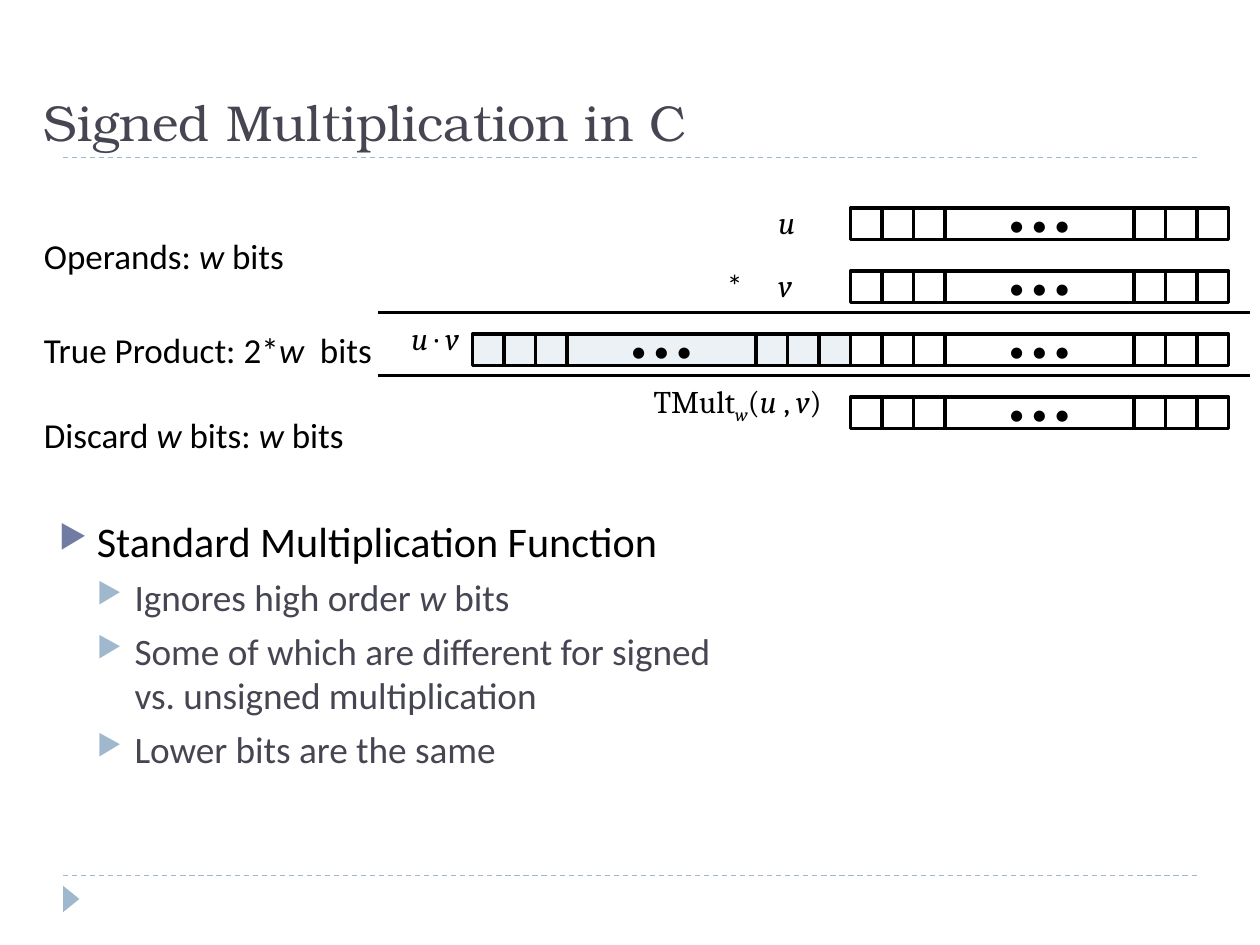
from lxml import etree
from pptx import Presentation, util as u
from pptx.dml.color import RGBColor
from pptx.enum import dml, shapes, text
from pptx.oxml import ns

WIDTH, HEIGHT = 10, 7.5
BIT = 0.25
ROW_TOP, ROW_STEP = 1.65, 0.5
HIGH_LEFT, LOW_LEFT = 3.75, 6.75
BLACK, WHITE, SLATE = "000000", "FFFFFF", "464653"
PALE, SKY, VIOLET = "ECF1F5", "9FB8CD", "727CA3"
SANS, SERIF, HEADING = "Calibri", "Cambria", "TeX Gyre Bonum"


def color(hex_code):
    return RGBColor.from_string(hex_code)


def box(left, top, width, height):
    return [u.Inches(length) for length in (left, top, width, height)]


def row_top(row):
    return ROW_TOP + row * ROW_STEP


def write(paragraph, marked, size, font, ink=BLACK):
    """Fill a paragraph: _x_ is italic and _~x_ is an italic subscript."""
    for index, piece in enumerate(marked.split("_")):
        if not piece:
            continue
        run = paragraph.add_run()
        run.text = piece.lstrip("~")
        run.font.size = u.Pt(size)
        run.font.name = font
        run.font.italic = index % 2 == 1
        run.font.color.rgb = color(ink)
        if piece.startswith("~"):
            run._r.get_or_add_rPr().set("baseline", "-25000")


def add_label(slide, place, marked, size, font=SANS, ink=BLACK,
              align=text.PP_ALIGN.LEFT, anchor=text.MSO_ANCHOR.TOP):
    frame = slide.shapes.add_textbox(*box(*place)).text_frame
    frame.word_wrap = False
    frame.vertical_anchor = anchor
    frame.paragraphs[0].alignment = align
    write(frame.paragraphs[0], marked, size, font, ink)


def add_rule(slide, left, right, y, ink, weight, dashed=False):
    rule = slide.shapes.add_connector(
        shapes.MSO_CONNECTOR.STRAIGHT,
        *[u.Inches(length) for length in (left, y, right, y)])
    rule.line.color.rgb = color(ink)
    rule.line.width = u.Pt(weight)
    if dashed:
        rule.line.dash_style = dml.MSO_LINE.DASH
    etree.SubElement(rule._element.spPr, ns.qn("a:effectLst"))


def add_cell(parent, left, top, width, fill):
    cell = parent.shapes.add_shape(shapes.MSO_SHAPE.RECTANGLE,
                                   *box(left, top, width, BIT))
    cell.shadow.inherit = False
    cell.fill.solid()
    cell.fill.fore_color.rgb = color(fill)
    cell.line.color.rgb = color(BLACK)
    cell.line.width = u.Pt(2)
    return cell


def add_register(slide, left, row, fill=WHITE):
    """Draw a w-bit word: three bits, a wide ellipsis cell, three bits."""
    word = slide.shapes.add_group_shape()
    for column in (0, 1, 2, 9, 10, 11):
        add_cell(word, left + column * BIT, row_top(row), BIT, fill)
    middle = add_cell(word, left + 3 * BIT, row_top(row), 6 * BIT, fill)
    frame = middle.text_frame
    frame.word_wrap = False
    frame.vertical_anchor = text.MSO_ANCHOR.MIDDLE
    frame.paragraphs[0].alignment = text.PP_ALIGN.CENTER
    write(frame.paragraphs[0], "•\u00a0•\u00a0•".replace("\\u00a0", " "), 18, SANS)


def add_bullet(paragraph, level, ink):
    props = paragraph._p.get_or_add_pPr()
    props.set("marL", str(u.Inches(0.3 * (level + 1))))
    props.set("indent", str(u.Inches(-0.3)))
    tint = etree.SubElement(props, ns.qn("a:buClr"))
    etree.SubElement(tint, ns.qn("a:srgbClr"), val=ink)
    etree.SubElement(props, ns.qn("a:buSzPct"), val="76000")
    etree.SubElement(props, ns.qn("a:buChar"), char="▶")


def add_outline(slide, place, points):
    frame = slide.shapes.add_textbox(*box(*place)).text_frame
    frame.word_wrap = True
    styles = ((24.1, BLACK, VIOLET, 6), (21.3, SLATE, SKY, 5))
    for index, (level, marked) in enumerate(points):
        paragraph = frame.add_paragraph() if index else frame.paragraphs[0]
        size, ink, bullet, gap = styles[level]
        paragraph.level = level
        paragraph.space_before = u.Pt(gap)
        add_bullet(paragraph, level, bullet)
        write(paragraph, marked, size, SANS, ink)


def add_frame(slide):
    for y in (6.95, 1.25):
        add_rule(slide, 0.05 * WIDTH, 0.95 * WIDTH, y, SKY, 0.75, dashed=True)
    marker = slide.shapes.add_shape(shapes.MSO_SHAPE.ISOSCELES_TRIANGLE,
                                    *box(0.46, 7.07, 0.21, 0.13))
    marker.rotation = 90
    marker.shadow.inherit = False
    marker.fill.solid()
    marker.fill.fore_color.rgb = color(SKY)
    marker.line.fill.background()


def add_multiplication(slide):
    for row in range(4):
        add_register(slide, LOW_LEFT, row)
    add_register(slide, HIGH_LEFT, 2, PALE)
    for row in (2, 3):
        add_rule(slide, 3, 9.92, row_top(row) - 0.17, BLACK, 2)

    right = text.PP_ALIGN.RIGHT
    add_label(slide, (6.08, 1.56, 0.33, 0.4), "_u_", 18, SERIF)
    add_label(slide, (6.08, 2.06, 0.31, 0.4), "_v_", 18, SERIF)
    add_label(slide, (5.67, 2.06, 0.35, 0.4), "*", 18)
    add_label(slide, (3.12, 2.48, 0.62, 0.4), "_u _· _v_", 18, SERIF,
              align=right)
    add_label(slide, (5.08, 2.98, 1.54, 0.4), "TMult_~w_(_u_ , _v_)", 18,
              SERIF, align=right)

    for top, width, caption in (
            (1.81, 2.13, "Operands: _w_ bits"),
            (2.56, 2.83, "True Product: 2*_w_  bits"),
            (3.23, 2.67, "Discard _w_ bits: _w_ bits")):
        add_label(slide, (0.25, top, width, 0.44), caption, 20)


def main():
    deck = Presentation()
    deck.slide_width, deck.slide_height = u.Inches(WIDTH), u.Inches(HEIGHT)
    slide = deck.slides.add_slide(deck.slide_layouts[6])
    add_frame(slide)
    add_label(slide, (0.25, 0.64, 8.41, 0.61), "Signed Multiplication in C",
              28.8, HEADING, SLATE, anchor=text.MSO_ANCHOR.BOTTOM)
    add_outline(slide, (0.37, 4.04, 5.63, 1.8), (
        (0, "Standard Multiplication Function"),
        (1, "Ignores high order _w_ bits"),
        (1, "Some of which are different for signed vs. unsigned multiplication"),
        (1, "Lower bits are the same")))
    add_multiplication(slide)
    deck.save("out.pptx")


if __name__ == "__main__":
    main()
